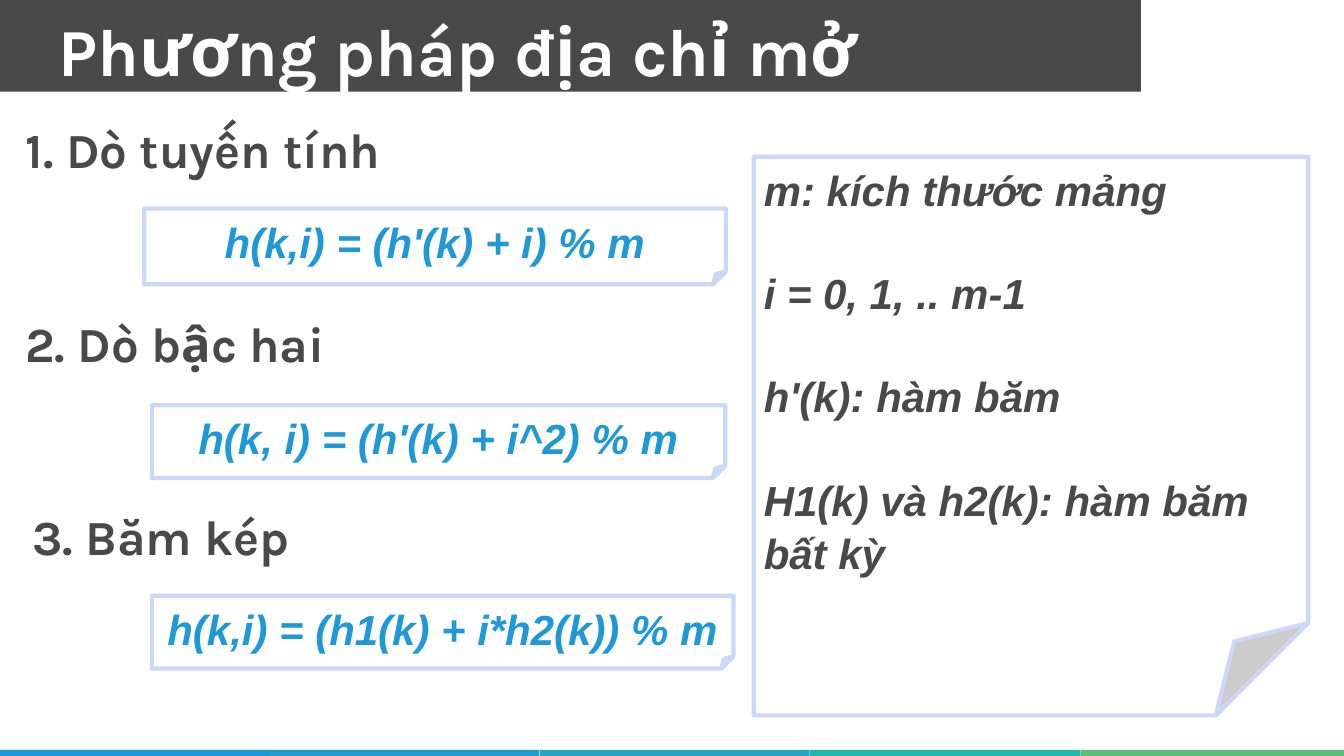
from pptx import Presentation
from pptx import util as u
from pptx.dml.color import RGBColor
from pptx.enum import shapes, text

Pt = u.Pt
SHAPE = shapes.MSO_SHAPE
ALIGN = text.PP_ALIGN

# Content
TITLE = "Phương pháp địa chỉ mở"
# heading, its left and top; formula, its left, top, width and height
METHODS = [
    ("1. Dò tuyến tính", -335.5, 80, "h(k,i) = (h'(k) + i) % m", 103, 149, 415.5, 54),
    ("2. Dò bậc hai", -355.5, 218, "h(k, i) = (h'(k) + i^2) % m", 108.5, 289.5, 409.5, 52),
    ("3. Băm kép", -365.5, 356.5, "h(k,i) = (h1(k) + i*h2(k)) % m", 108.5, 425.5, 415.5, 52),
]
LEGEND = ["m: kích thước mảng", "i = 0, 1, .. m-1", "h'(k): hàm băm",
          "H1(k) và h2(k): hàm băm bất kỳ"]
STRIPES = ["1F98D8", "229CCE", "27A5C1", "24B6AB", "5BBD76"]
COLORS = {"dark": "494949", "paper": "FFFFFF", "edge": "CDD7F8", "formula": "1F98D8"}
HEADING_WIDTH, HEADING_HEIGHT = 961, 49.5
STRIPE_WIDTH, STRIPE_STEP = 193, 193.2

deck = Presentation()
deck.slide_width, deck.slide_height = Pt(960), Pt(540)
slide = deck.slides.add_slide(deck.slide_layouts[6])


def block(kind, left, top, width, height, fill, edge=None):
    part = slide.shapes.add_shape(kind, Pt(left), Pt(top), Pt(width), Pt(height))
    part.shadow.inherit = False
    part.fill.solid()
    part.fill.fore_color.rgb = RGBColor.from_string(fill)
    if edge:
        part.line.color.rgb = RGBColor.from_string(edge)
        part.line.width = Pt(3)
    else:
        part.line.fill.background()
    return part


def write(part, lines, size, color, font="Karla", italic=False,
          align=ALIGN.LEFT, spacing=1.05, gap=0, inset=7.2):
    frame = part.text_frame
    frame.word_wrap = True
    frame.vertical_anchor = text.MSO_ANCHOR.TOP
    frame.margin_left = Pt(inset)
    for index, line in enumerate(lines):
        paragraph = frame.add_paragraph() if index else frame.paragraphs[0]
        paragraph.alignment = align
        paragraph.line_spacing = spacing
        if index and gap:
            paragraph.space_before = Pt(gap)
        run = paragraph.add_run()
        run.text = line
        run.font.name, run.font.size = font, Pt(size)
        run.font.bold, run.font.italic = True, italic
        run.font.color.rgb = RGBColor.from_string(color)


# Footer stripes
for index, stripe in enumerate(STRIPES):
    block(SHAPE.RECTANGLE, index * STRIPE_STEP - 1, 535.7, STRIPE_WIDTH, 7.2, stripe)

# Title bar
title_bar = block(SHAPE.RECTANGLE, 0, 0, 815, 65.5, COLORS["dark"])
write(title_bar, [TITLE], 48, COLORS["paper"], inset=42)

# Probing methods with their formulas
for name, name_left, name_top, formula, left, top, width, height in METHODS:
    heading = slide.shapes.add_textbox(Pt(name_left), Pt(name_top),
                                       Pt(HEADING_WIDTH), Pt(HEADING_HEIGHT))
    write(heading, [name], 35, COLORS["dark"], align=ALIGN.CENTER)
    note = block(SHAPE.FOLDED_CORNER, left, top, width, height, COLORS["paper"], COLORS["edge"])
    write(note, [formula], 30, COLORS["formula"], font="Arial", italic=True, align=ALIGN.CENTER)

# Legend of symbols
legend = block(SHAPE.FOLDED_CORNER, 538.5, 112, 396, 399, COLORS["paper"], COLORS["edge"])
write(legend, LEGEND, 30, COLORS["dark"], font="Arial", italic=True, gap=36)

deck.save("out.pptx")
